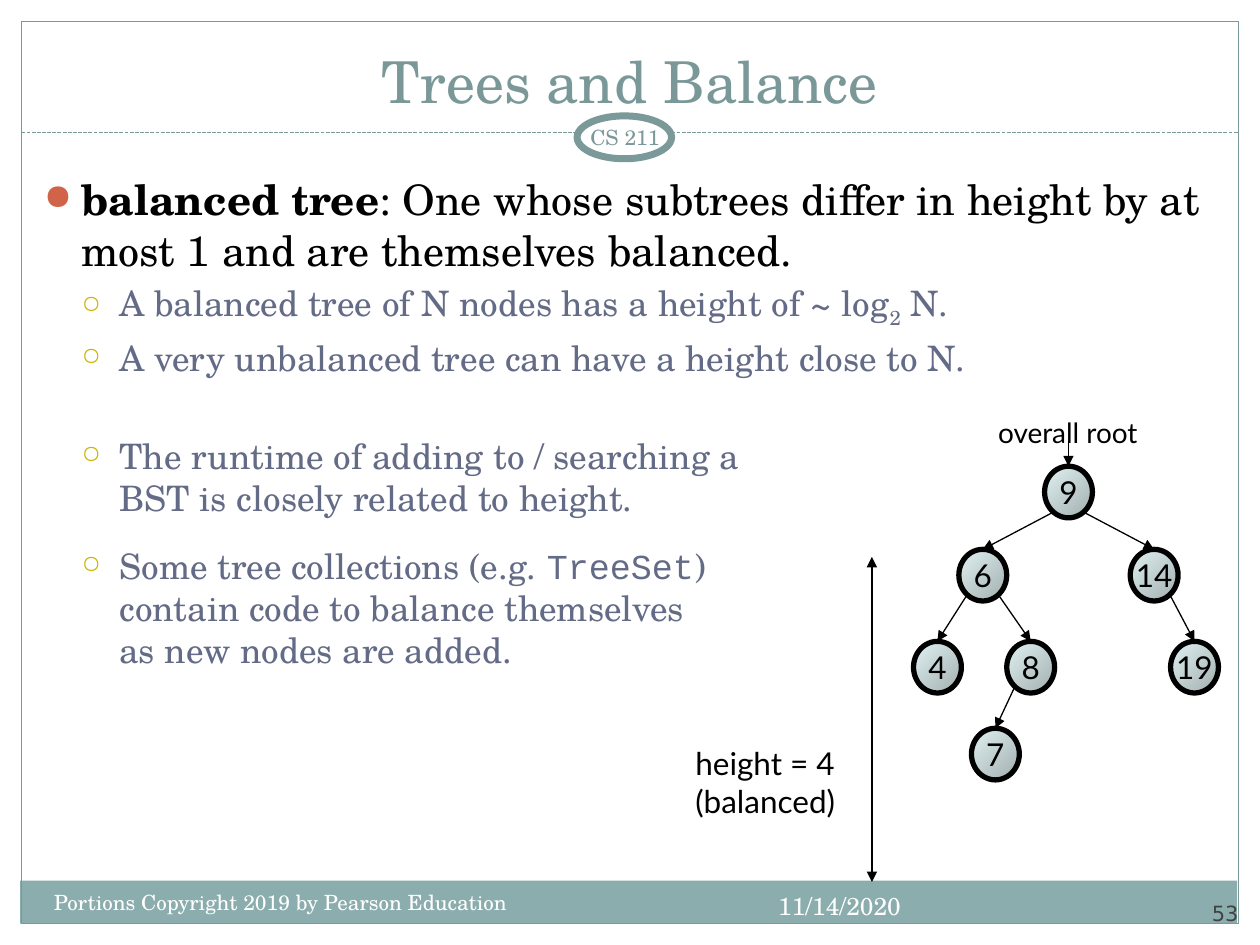
from lxml.etree import SubElement
from pptx import Presentation
from pptx.dml.color import RGBColor
from pptx.enum.dml import MSO_LINE
from pptx.enum.shapes import MSO_CONNECTOR, MSO_SHAPE
from pptx.enum.text import MSO_ANCHOR, MSO_AUTO_SIZE, PP_ALIGN
from pptx.oxml.ns import qn
from pptx.util import Inches, Pt

SERIF, SANS, MONO = "TeX Gyre Schola", "Lato", "Courier New"
TEAL, BLACK, WHITE, SLATE = "7C999A", "000000", "FFFFFF", "646B86"
NODE_WIDTH, NODE_HEIGHT = 0.38, 0.41


def color(value):
    return RGBColor.from_string(value)


def apply(target, values):
    for name, value in values.items():
        setattr(target, name, value)


class SlideBuilder:
    def __init__(self, presentation):
        self.slide = presentation.slides.add_slide(presentation.slide_layouts[5])
        self.shapes = self.slide.shapes

    def add_runs(self, paragraph, text, size, font=SERIF, fill=BLACK, bold=False, subscript=False):
        for index, line in enumerate(text.split("\n")):
            if index:
                paragraph.add_line_break()
            run = paragraph.add_run()
            run.text = line
            apply(run.font, {"size": Pt(size), "name": font, "bold": bold})
            run.font.color.rgb = color(fill)
            if subscript:
                run.font._element.set("baseline", "-25000")

    def frame(self, shape, anchor=MSO_ANCHOR.TOP, wrap=True, inset=None):
        values = {"vertical_anchor": anchor, "word_wrap": wrap, "auto_size": MSO_AUTO_SIZE.NONE}
        if inset is not None:
            for side in ("left", "top", "right", "bottom"):
                values["margin_" + side] = Inches(inset)
        apply(shape.text_frame, values)
        return shape.text_frame

    def title(self, box, text, size, fill):
        shape = self.shapes.title
        apply(shape, dict(zip(("left", "top", "width", "height"), map(Inches, box))))
        paragraph = self.frame(shape, MSO_ANCHOR.BOTTOM).paragraphs[0]
        paragraph.alignment = PP_ALIGN.CENTER
        self.add_runs(paragraph, text, size, fill=fill)

    def text(self, box, lines, size, font=SERIF, fill=BLACK, align=PP_ALIGN.LEFT, **frame_format):
        shape = self.shapes.add_textbox(*map(Inches, box))
        text_frame = self.frame(shape, **frame_format)
        for index, line in enumerate(lines):
            paragraph = text_frame.add_paragraph() if index else text_frame.paragraphs[0]
            paragraph.alignment = align
            self.add_runs(paragraph, line, size, font, fill)

    def bullets(self, box, items):
        text_frame = self.frame(self.shapes.add_textbox(*map(Inches, box)))
        marks = (("●", "D16349", 85), ("○", "CCB400", 70))
        for index, (level, space, runs) in enumerate(items):
            paragraph = text_frame.add_paragraph() if index else text_frame.paragraphs[0]
            apply(paragraph, {"level": level, "space_before": Pt(space)})
            mark, fill, percent = marks[level]
            properties = paragraph._p.get_or_add_pPr()
            properties.set("marL", str(Inches(0.3 * (level + 1))))
            properties.set("indent", str(Inches(-0.3)))
            bullet_color = SubElement(properties, qn("a:buClr"))
            SubElement(bullet_color, qn("a:srgbClr")).set("val", fill)
            SubElement(properties, qn("a:buSzPct")).set("val", str(percent * 1000))
            SubElement(properties, qn("a:buChar")).set("char", mark)
            for text, run_format in runs:
                self.add_runs(paragraph, text, **run_format)

    def shape(self, kind, box, fill=None, line=None, width=0.75):
        shape = self.shapes.add_shape(kind, *map(Inches, box))
        shape.shadow.inherit = False
        if fill:
            shape.fill.solid()
            shape.fill.fore_color.rgb = color(fill)
        else:
            shape.fill.background()
        if line:
            shape.line.color.rgb = color(line)
            shape.line.width = Pt(width)
        else:
            shape.line.fill.background()
        return shape

    def node(self, label, center, top):
        box = (center - NODE_WIDTH / 2, top, NODE_WIDTH, NODE_HEIGHT)
        shape = self.shape(MSO_SHAPE.OVAL, box, line=BLACK, width=3)
        shape.fill.gradient()
        shape.fill.gradient_angle = 315
        for stop, position, value in zip(shape.fill.gradient_stops, (0, 1), ("E1F2F3", "A2AFAF")):
            stop.position = position
            stop.color.rgb = color(value)
        paragraph = self.frame(shape, MSO_ANCHOR.MIDDLE, wrap=False).paragraphs[0]
        paragraph.alignment = PP_ALIGN.CENTER
        self.add_runs(paragraph, label, 18, SANS)
        return shape

    def line(self, start, end, fill=BLACK, arrows=(), dash=None, target=None):
        line = self.shapes.add_connector(MSO_CONNECTOR.STRAIGHT, *map(Inches, start + end))
        line.line.color.rgb = color(fill)
        line.line.width = Pt(0.75)
        if dash:
            line.line.dash_style = dash
        for arrow in arrows:
            SubElement(line.line._get_or_add_ln(), qn("a:" + arrow)).set("type", "triangle")
        SubElement(line._element.spPr, qn("a:effectLst"))
        if target:
            line.end_connect(target, 0)


def main():
    presentation = Presentation()
    apply(presentation, {"slide_width": Inches(10), "slide_height": Inches(7.5)})
    builder = SlideBuilder(presentation)

    builder.shape(MSO_SHAPE.RECTANGLE, (0.16, 6.99, 9.66, 0.34), fill="8CADAE")
    builder.shape(MSO_SHAPE.RECTANGLE, (0.17, 0.17, 9.66, 7.16), line=TEAL)
    builder.line((0.17, 1.05), (9.83, 1.05), TEAL, dash=MSO_LINE.SQUARE_DOT)
    builder.shape(MSO_SHAPE.OVAL, (4.58, 0.92, 0.75, 0.34), WHITE, TEAL, 4)
    builder.text((9, 6.95, 0.83, 0.4), ["53"], 12, "DejaVu Sans", "424242",
                 PP_ALIGN.RIGHT, anchor=MSO_ANCHOR.BOTTOM, inset=0)
    builder.title((0.33, 0.25, 9.33, 0.71), "Trees and Balance", 33, "7B9899")

    main_text = {"size": 24}
    detail = {"size": 20, "fill": SLATE}
    builder.bullets((0.25, 1.33, 9.5, 5.58), [
        (0, 0, [("balanced tree", {**main_text, "bold": True}),
                (": One whose subtrees differ in height by at most 1 "
                 "and are themselves balanced.", main_text)]),
        (1, 4, [("A balanced tree of N nodes has a height of ~ log", detail),
                ("2", {**detail, "subscript": True}), (" N.", detail)]),
        (1, 4, [("A very unbalanced tree can have a height close to N.", detail)]),
        (1, 32, [("The runtime of adding to / searching a\n"
                  "BST is closely related to height.", detail)]),
        (1, 15, [("Some tree collections (e.g. ", detail),
                 ("TreeSet", {**detail, "font": MONO}),
                 (")\ncontain code to balance themselves\nas new nodes are added.", detail)]),
    ])

    positions = {
        "9": (8.48, 3.7), "6": (7.8, 4.36), "14": (9.16, 4.36),
        "4": (7.44, 5.09), "8": (8.18, 5.09), "19": (9.48, 5.09), "7": (7.9, 5.78),
    }
    nodes = {label: builder.node(label, *place) for label, place in positions.items()}
    edges = (("9", "6"), ("9", "14"), ("6", "4"), ("6", "8"), ("14", "19"), ("8", "7"))
    for parent, child in edges:
        center, top = positions[parent]
        side = 0.13 if positions[child][0] > center else -0.13
        builder.line((center + side, top + 0.37), positions[child],
                     arrows=["tailEnd"], target=nodes[child])

    builder.text((7.82, 3.25, 1.31, 0.37), ["overall root"], 16, SANS,
                 align=PP_ALIGN.CENTER, wrap=False)
    builder.line((8.48, 3.5), positions["9"], arrows=["tailEnd"], target=nodes["9"])
    builder.line((6.92, 4.42), (6.92, 7), arrows=["headEnd", "tailEnd"])
    builder.text((5.42, 5.86, 1.38, 0.7), ["height = 4", "(balanced)"], 18, SANS, wrap=False)

    builder.text((5.59, 7.02, 1.66, 0.4), ["11/14/2020"], 14, fill=WHITE, align=PP_ALIGN.RIGHT)
    builder.text((0.33, 7.01, 4.08, 0.4), ["Portions Copyright 2019 by Pearson Education"],
                 12, fill=WHITE)
    builder.text((4.5, 0.92, 0.92, 0.33), ["CS 211"], 12, fill=TEAL, align=PP_ALIGN.CENTER,
                 anchor=MSO_ANCHOR.MIDDLE, inset=0.05)
    presentation.save("out.pptx")


if __name__ == "__main__":
    main()
